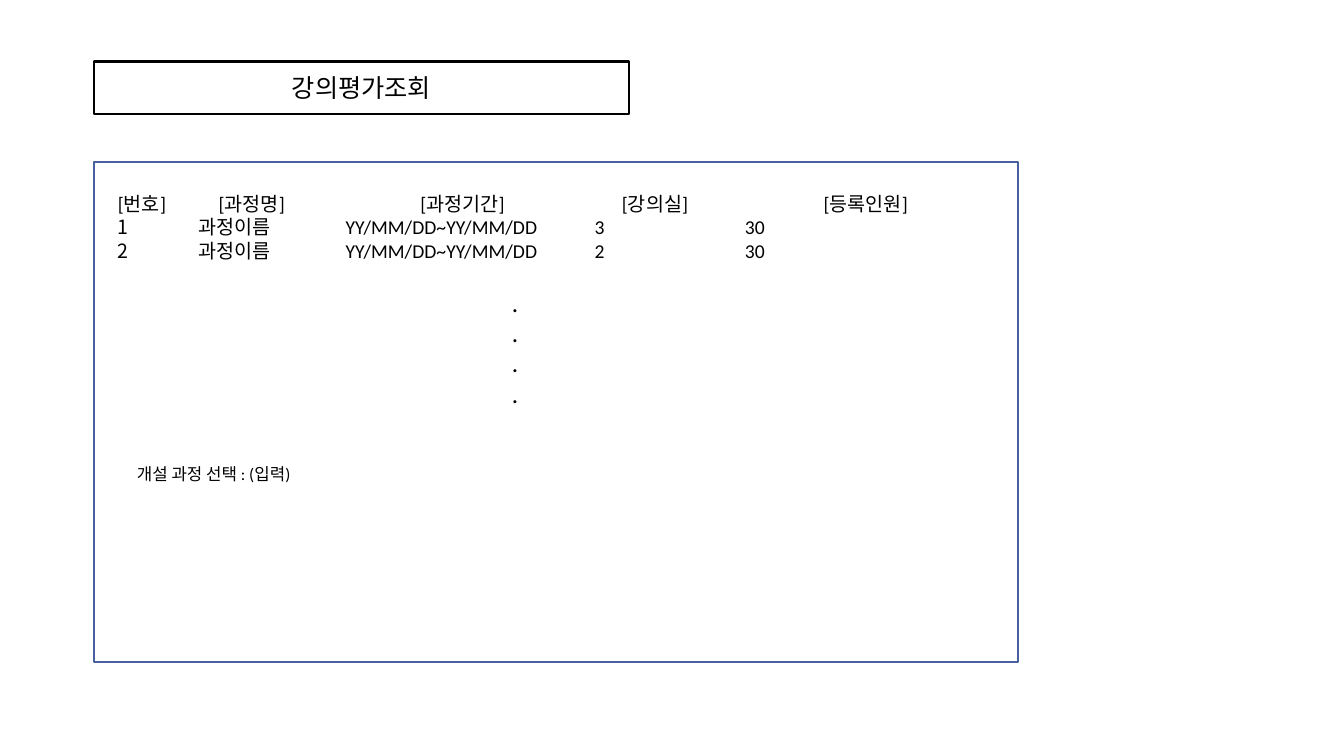
from lxml import etree
from pptx import Presentation
from pptx.dml.color import RGBColor
from pptx.enum import shapes, text
from pptx.oxml import ns
from pptx.util import Inches, Pt

BLACK = RGBColor(0, 0, 0)
WHITE = RGBColor(0xFF, 0xFF, 0xFF)
BLUE = RGBColor(0x48, 0x60, 0x9E)


class Page:
    def __init__(self, deck, font="Calibri"):
        self.slide = deck.slides.add_slide(deck.slide_layouts[6])
        self.font = font

    def box(self, left, top, width, height, edge):
        rect = self.slide.shapes.add_shape(
            shapes.MSO_SHAPE.RECTANGLE, *map(Inches, (left, top, width, height)))
        rect.shadow.inherit = False
        rect.fill.solid()
        rect.fill.fore_color.rgb = WHITE
        rect.line.color.rgb = edge
        rect.line.width = Pt(1.5)
        return rect.text_frame

    def label(self, left, top, width, height):
        area = self.slide.shapes.add_textbox(
            *map(Inches, (left, top, width, height)))
        frame = area.text_frame
        frame.word_wrap = True
        frame.auto_size = text.MSO_AUTO_SIZE.SHAPE_TO_FIT_TEXT
        return frame

    def lines(self, frame, rows, size):
        for i, words in enumerate(rows):
            para = frame.add_paragraph() if i else frame.paragraphs[0]
            run = para.add_run()
            run.text = words
            run.font.name = self.font
            run.font.size = Pt(size)
            run.font.color.rgb = BLACK

    def tabs(self, para, stops):
        holder = etree.SubElement(para._p.get_or_add_pPr(), ns.qn("a:tabLst"))
        for stop in stops:
            etree.SubElement(holder, ns.qn("a:tab"),
                             pos=str(Inches(stop)), algn="l")

    def number(self, para, indent):
        """Give the paragraph a plain automatic number and a hanging indent."""
        props = para._p.get_or_add_pPr()
        props.set("marL", str(Inches(indent)))
        props.set("indent", str(-Inches(indent)))
        etree.SubElement(props, ns.qn("a:buFontTx"))
        etree.SubElement(props, ns.qn("a:buAutoNum"), type="arabicPlain")


def main():
    deck = Presentation()
    deck.slide_width, deck.slide_height = Inches(13.33), Inches(7.5)
    page = Page(deck)

    page.box(0.93, 1.61, 9.17, 4.96, BLUE)
    title = page.box(0.93, 0.61, 5.31, 0.52, BLACK)
    title.vertical_anchor = text.MSO_ANCHOR.MIDDLE
    title.paragraphs[0].alignment = text.PP_ALIGN.CENTER
    page.lines(title, ["강의평가조회"], 18)

    heads = ["[번호]", "[과정명]", "[과정기간]", "[강의실]", "[등록인원]"]
    rows = [["과정이름", "YY/MM/DD~YY/MM/DD", room, "30"] for room in "32"]
    course = page.label(1.07, 1.85, 8.75, 0.81)
    page.lines(course, ["\t".join(row) for row in [heads] + rows], 14)
    head, *items = course.paragraphs
    page.tabs(head, [1, 3, 5, 7])
    for item in items:
        page.number(item, 0.8)
        page.tabs(item, [2.26, 4.73, 6.22])

    page.lines(page.label(4.98, 2.8, 1.06, 1.62), ["."] * 4, 18)
    page.lines(page.label(1.26, 4.55, 6.07, 0.3), ["개설 과정 선택 : (입력)"], 12)
    deck.save("out.pptx")


if __name__ == "__main__":
    main()
